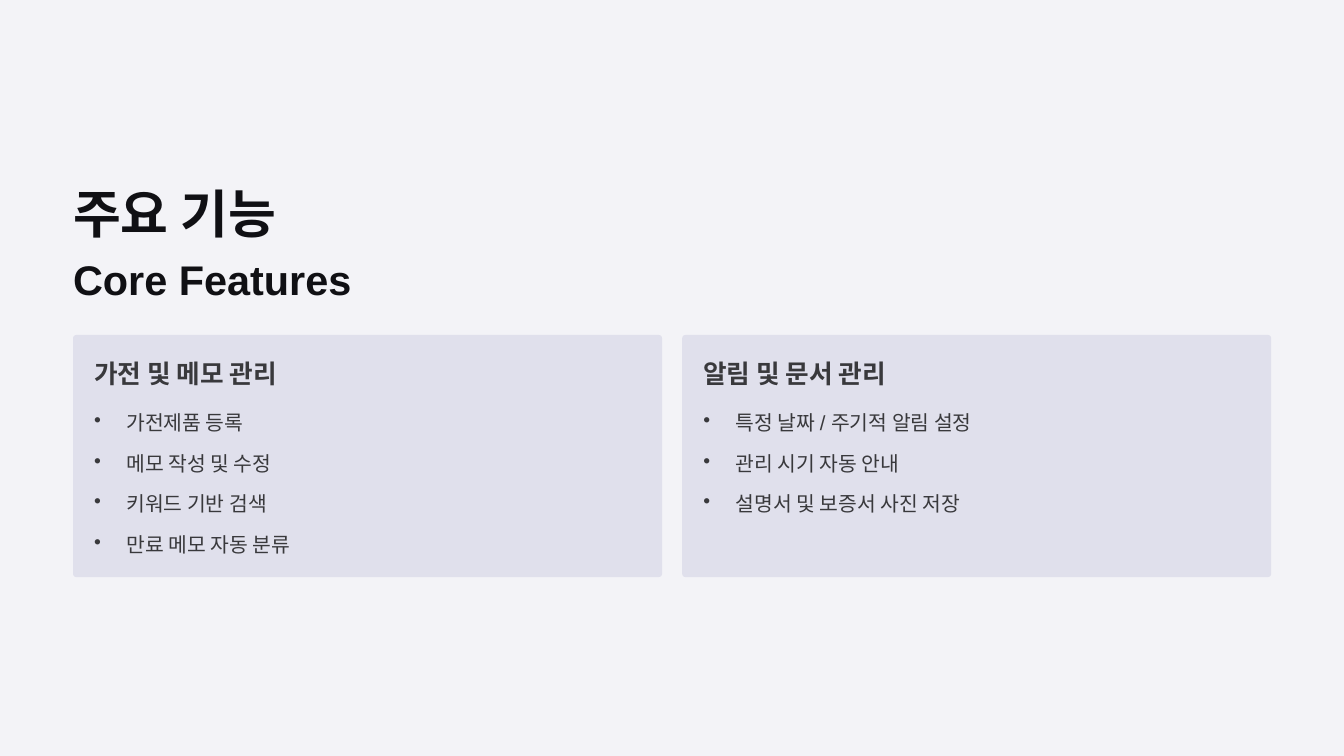
import pptx
import pptx.dml.color
import pptx.enum.shapes
import pptx.util
from lxml import etree
from pptx.oxml.ns import qn

Cm = pptx.util.Cm
Pt = pptx.util.Pt
RGBColor = pptx.dml.color.RGBColor

PAGE = RGBColor(0xF3, 0xF3, 0xF7)
CARD = RGBColor(0xE0, 0xE0, 0xEC)
HEADING = RGBColor(0x10, 0x10, 0x14)
BODY = RGBColor(0x39, 0x39, 0x3C)

MARGIN = 2.21
CARD_TOP = 10.13
CARD_WIDTH = 17.81
CARD_HEIGHT = 7.32
CARD_STEP = 18.42
PADDING = 0.64
LIST_OFFSET = 2.01
ITEM_STEP = 1.23
BULLET_INDENT = 0.97

FEATURES = [
    ("가전 및 메모 관리",
     ["가전제품 등록", "메모 작성 및 수정", "키워드 기반 검색", "만료 메모 자동 분류"]),
    ("알림 및 문서 관리",
     ["특정 날짜 / 주기적 알림 설정", "관리 시기 자동 안내", "설명서 및 보증서 사진 저장"]),
]


class FeatureSlide:
    """Draws headings, cards and bullet items on one slide in a shared style."""

    font_name = "Arial"

    def __init__(self, slide):
        self.slide = slide
        background = slide.background.fill
        background.solid()
        background.fore_color.rgb = PAGE

    def text(self, wording, left, top, width, height, size, leading, color,
             bold=True, bullet=False):
        box = self.slide.shapes.add_textbox(Cm(left), Cm(top), Cm(width), Cm(height))
        frame = box.text_frame
        frame.word_wrap = False
        frame.margin_left = frame.margin_top = 0
        frame.margin_right = frame.margin_bottom = 0
        paragraph = frame.paragraphs[0]
        paragraph.text = wording
        paragraph.line_spacing = Pt(leading)
        if bullet:
            self.add_bullet(paragraph)
        paragraph.font.name = self.font_name
        paragraph.font.size = Pt(size)
        paragraph.font.bold = bold
        paragraph.font.color.rgb = color

    def add_bullet(self, paragraph):
        properties = paragraph._p.get_or_add_pPr()
        properties.set("marL", str(Cm(BULLET_INDENT)))
        properties.set("indent", str(-Cm(BULLET_INDENT)))
        etree.SubElement(properties, qn("a:buChar")).set("char", "•")

    def panel(self, left):
        panel = self.slide.shapes.add_shape(
            pptx.enum.shapes.MSO_SHAPE.ROUNDED_RECTANGLE,
            Cm(left), Cm(CARD_TOP), Cm(CARD_WIDTH), Cm(CARD_HEIGHT))
        panel.adjustments[0] = 0.013
        panel.shadow.inherit = False
        panel.fill.solid()
        panel.fill.fore_color.rgb = CARD
        panel.line.fill.background()

    def card(self, left, heading, items):
        self.panel(left)
        inner = left + PADDING
        self.text(heading, inner, CARD_TOP + PADDING, 7.87, 0.99, 22, 27.5, BODY)
        for row, item in enumerate(items):
            top = CARD_TOP + LIST_OFFSET + row * ITEM_STEP
            self.text(item, inner, top, CARD_WIDTH - 2 * PADDING, 1.02,
                      17.5, 28.5, BODY, bold=False, bullet=True)


def main():
    deck = pptx.Presentation()
    deck.slide_width = Cm(40.64)
    deck.slide_height = Cm(22.86)
    features = FeatureSlide(deck.slides.add_slide(deck.slide_layouts[6]))
    features.text("주요 기능", MARGIN, 5.41, 15.75, 1.98, 44.5, 55.5, HEADING)
    features.text("Core Features", MARGIN, 7.62, 12.6, 1.57, 35.5, 44.5, HEADING)
    for column, (heading, items) in enumerate(FEATURES):
        features.card(MARGIN + column * CARD_STEP, heading, items)
    deck.save("out.pptx")


if __name__ == "__main__":
    main()
